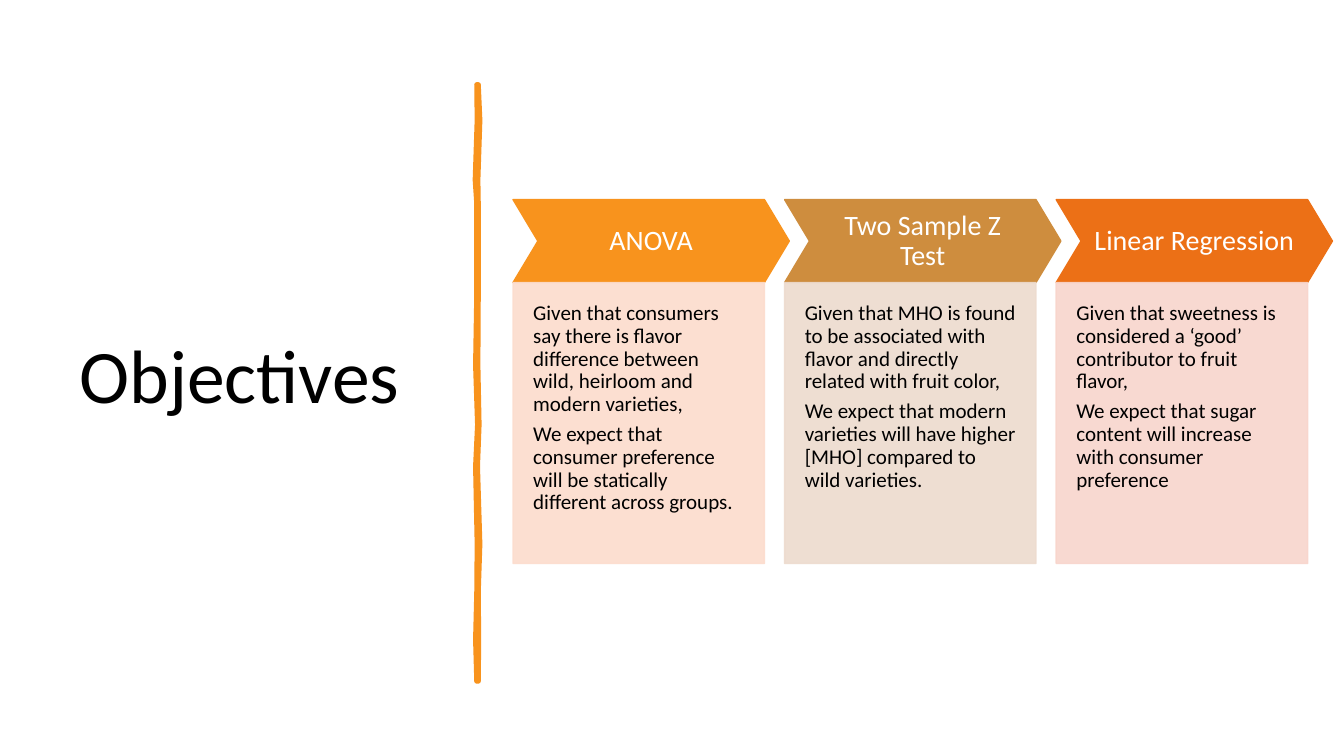
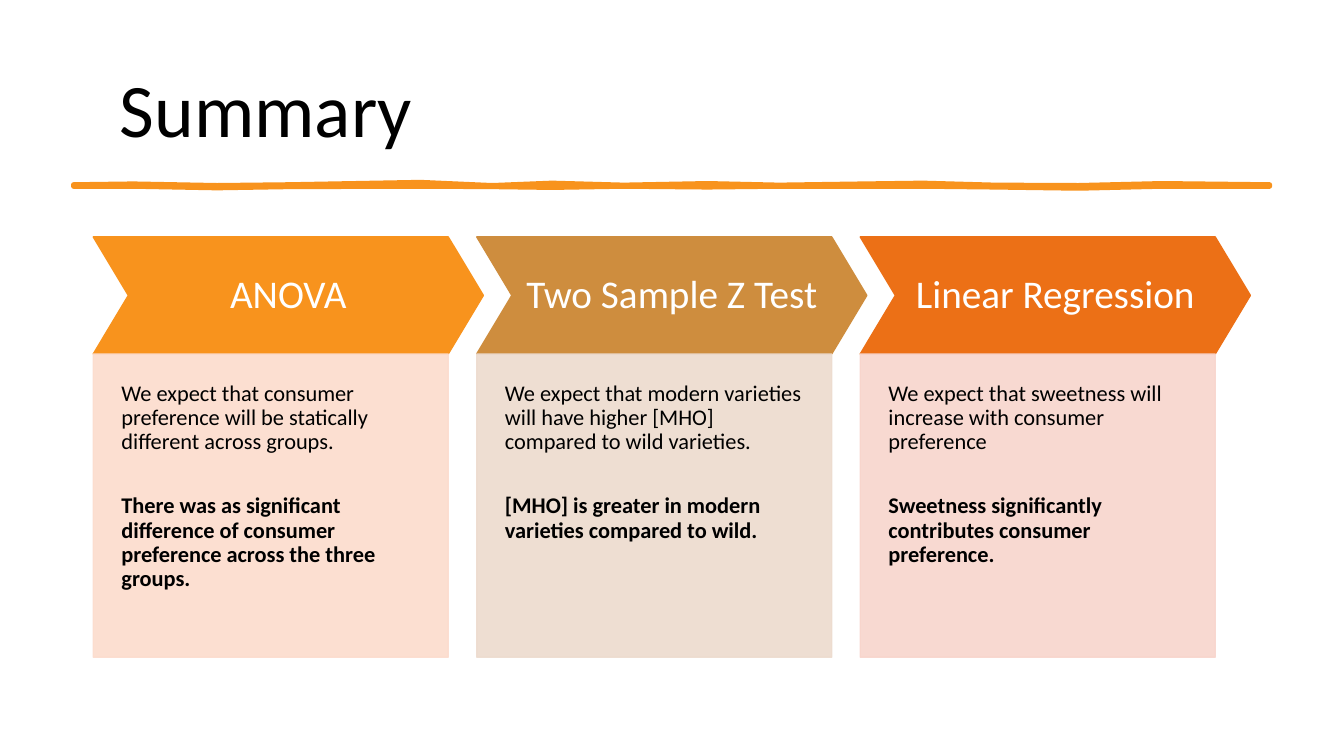
import lxml.etree
import pptx
import pptx.dml.color
import pptx.enum.shapes
import pptx.enum.text
import pptx.oxml.ns
import pptx.util

Cm = pptx.util.Cm
Pt = pptx.util.Pt
SHAPE = pptx.enum.shapes.MSO_SHAPE
ALIGN = pptx.enum.text.PP_ALIGN
ANCHOR = pptx.enum.text.MSO_ANCHOR

FONT = "Calibri"
BLACK = "000000"
WHITE = "FFFFFF"
ORANGE = "F8931D"
TESTS = [
    ("ANOVA", ORANGE, "FCDCCD"),
    ("Two Sample Z Test", "CE8D3E", "EDDBCE"),
    ("Linear Regression", "EC7016", "F8D5CC"),
]

# Brush-stroke edges: position along the stroke (0 to 1), first and second edge in cm
VERTICAL_STROKE = [
    (0, 0, 0.05), (0.06, 0.01, 0.09), (0.16, -0.04, 0.04), (0.2, 0, 0.05),
    (0.35, 0, 0.05), (0.47, -0.03, 0.04), (0.57, 0.02, 0.07), (0.64, -0.03, 0.03),
    (0.77, 0.01, 0.09), (0.85, 0, 0.05), (0.93, -0.03, 0.06), (1, 0, 0.05),
]
HORIZONTAL_STROKE = [
    (0, 0, 0.05), (0.05, -0.02, 0.05), (0.12, 0.02, 0.09), (0.18, 0, 0.06),
    (0.29, -0.06, 0.05), (0.35, 0.02, 0.06), (0.4, -0.04, 0.08), (0.46, 0.01, 0.05),
    (0.53, -0.03, 0.07), (0.59, 0.01, 0.05), (0.66, -0.02, 0.05), (0.71, -0.04, 0.05),
    (0.77, 0.01, 0.07), (0.84, 0.02, 0.1), (0.91, -0.03, 0.05), (1, 0, 0.05),
]

OBJECTIVES = [
    ("Given that consumers say there is flavor difference between wild, "
     "heirloom and modern varieties,",
     "We expect that consumer preference will be statically different across groups."),
    ("Given that MHO is found to be associated with flavor and directly "
     "related with fruit color,",
     "We expect that modern varieties will have higher [MHO] compared to wild varieties."),
    ("Given that sweetness is considered a ‘good’ contributor to fruit flavor,",
     "We expect that sugar content will increase with consumer preference"),
]
FINDINGS = [
    ("We expect that consumer preference will be statically different across groups.",
     "There was as significant difference of consumer preference across the three groups."),
    ("We expect that modern varieties will have higher [MHO] compared to wild varieties.",
     "[MHO] is greater in modern varieties compared to wild."),
    ("We expect that sweetness will increase with consumer preference",
     "Sweetness significantly contributes consumer preference."),
]


def rgb(value):
    return pptx.dml.color.RGBColor.from_string(value)


def paint(shape, color, line_width=1):
    shape.shadow.inherit = False
    shape.fill.solid()
    shape.fill.fore_color.rgb = rgb(color)
    shape.line.color.rgb = rgb(color)
    shape.line.width = Pt(line_width)


def make_translucent(shape, percent):
    """Set the opacity of both fill and outline."""
    qn = pptx.oxml.ns.qn
    for color in list(shape.element.spPr.iter(qn("a:srgbClr"))):
        lxml.etree.SubElement(color, qn("a:alpha"), val=str(percent * 1000))


def write(shape, paragraphs, size, color, align, anchor, insets):
    """Fill a shape with text; insets are left, top, right, bottom in cm."""
    frame = shape.text_frame
    frame.word_wrap = True
    frame.vertical_anchor = anchor
    (frame.margin_left, frame.margin_top,
     frame.margin_right, frame.margin_bottom) = [Cm(inset) for inset in insets]
    frame.text = "\n".join(paragraphs)
    for paragraph in frame.paragraphs:
        paragraph.alignment = align
        paragraph.line_spacing = 0.9
        paragraph.font.name = FONT
        paragraph.font.size = Pt(size)
        paragraph.font.color.rgb = rgb(color)
    return frame.paragraphs


def add_title(slide, text, left, top, width, height):
    title = slide.shapes.add_textbox(Cm(left), Cm(top), Cm(width), Cm(height))
    write(title, [text], 54, BLACK, ALIGN.LEFT, ANCHOR.MIDDLE, (0.25, 0.13, 0.25, 0.13))


def add_stroke(slide, left, top, length, profile, vertical=False):
    """Draw a hand-drawn rule running right, or down when vertical."""
    outline = [(along, first) for along, first, second in profile]
    outline += [(along, second) for along, first, second in reversed(profile)]
    points = []
    for along, across in outline:
        x, y = (across, along * length) if vertical else (along * length, across)
        points.append((Cm(left + x), Cm(top + y)))
    builder = slide.shapes.build_freeform(*points[0])
    builder.add_line_segments(points[1:], close=True)
    stroke = builder.convert_to_shape()
    paint(stroke, ORANGE, 3.25)
    lxml.etree.SubElement(stroke.line.fill._xPr, pptx.oxml.ns.qn("a:round"))


def add_test_columns(slide, bodies, left, top, width, height,
                     head_size, body_size, gap, bold_last=False):
    """Place a chevron heading over a text panel for each test, within the box."""
    step = 0.983
    chevron_width = width / (1 + step * (len(TESTS) - 1))
    chevron_height = 0.3 * chevron_width
    inset = 0.0127 * head_size
    for index, ((test, dark, pale), body) in enumerate(zip(TESTS, bodies)):
        x = left + index * step * chevron_width
        heading = slide.shapes.add_shape(
            SHAPE.CHEVRON, Cm(x), Cm(top), Cm(chevron_width), Cm(chevron_height))
        heading.adjustments[0] = 0.3
        paint(heading, dark)
        write(heading, [test], head_size, WHITE, ALIGN.CENTER, ANCHOR.MIDDLE, [inset] * 4)

        panel = slide.shapes.add_shape(
            SHAPE.RECTANGLE, Cm(x), Cm(top + chevron_height),
            Cm(0.91 * chevron_width), Cm(height - chevron_height))
        paint(panel, pale)
        make_translucent(panel, 90)
        paragraphs = write(panel, body, body_size, BLACK, ALIGN.LEFT, ANCHOR.TOP,
                           (2 * inset, 2 * inset, 2 * inset, 4 * inset))
        paragraphs[0].space_after = Pt(gap)
        paragraphs[-1].font.bold = bold_last


def build_objectives(slide):
    add_title(slide, "Objectives", 1.75, 1.78, 9.5, 15.52)
    add_stroke(slide, 12.01, 2.13, 15.04, VERTICAL_STROKE, vertical=True)
    add_test_columns(slide, OBJECTIVES, 12.93, 5.03, 20.65, 9.17,
                     head_size=20, body_size=15, gap=5.25)


def build_summary(slide):
    add_title(slide, "Summary", 2.77, 1.02, 28.77, 3.68)
    add_stroke(slide, 1.85, 4.65, 30.15, HORIZONTAL_STROKE)
    add_test_columns(slide, FINDINGS, 2.35, 5.97, 29.16, 10.59,
                     head_size=28, body_size=16, gap=28.5, bold_last=True)


def main():
    deck = pptx.Presentation()
    deck.slide_width = Cm(33.87)
    deck.slide_height = Cm(19.05)
    for build in (build_objectives, build_summary):
        build(deck.slides.add_slide(deck.slide_layouts[6]))
    deck.save("out.pptx")


if __name__ == "__main__":
    main()
